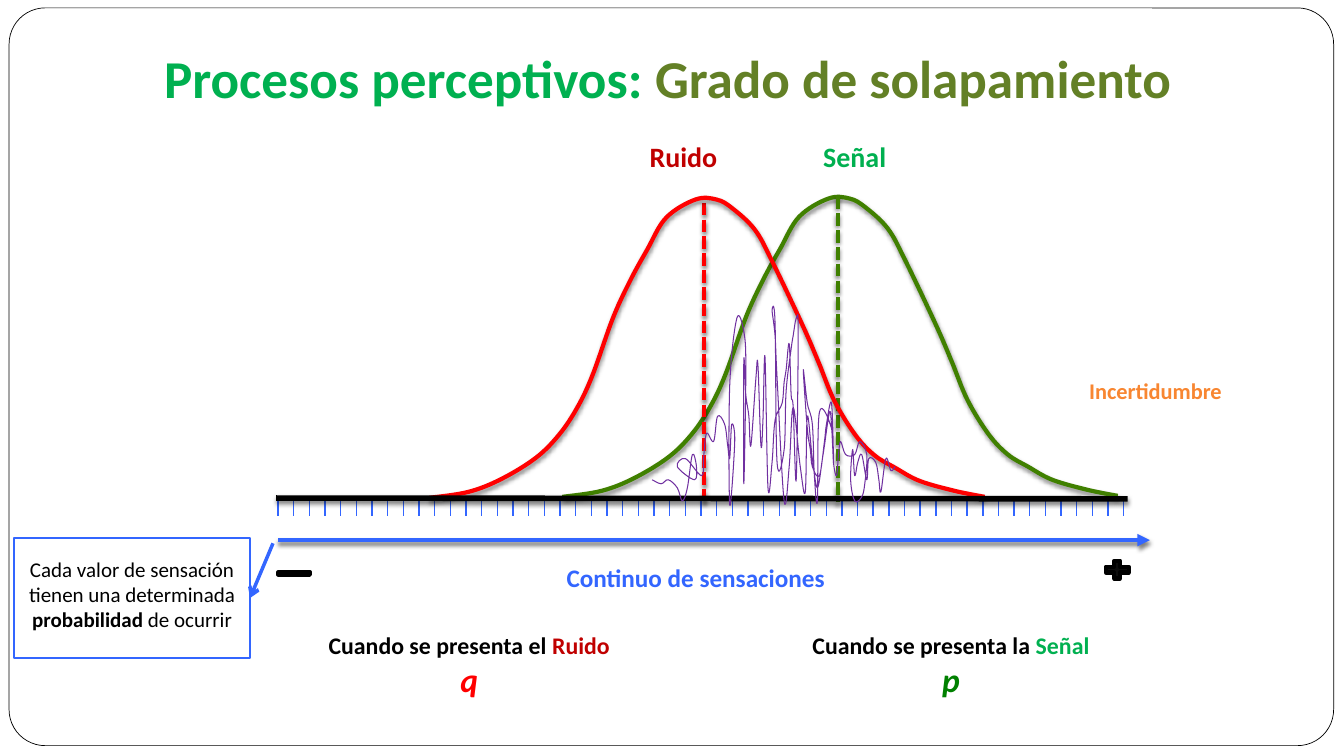
from lxml.etree import SubElement
from pptx import Presentation
from pptx.dml.color import RGBColor
from pptx.enum.dml import MSO_LINE_DASH_STYLE as Dash
from pptx.enum.shapes import MSO_CONNECTOR, MSO_SHAPE as Preset
from pptx.enum.text import MSO_ANCHOR as Anchor, MSO_AUTO_SIZE as AutoSize, PP_ALIGN as Align
from pptx.oxml.ns import qn
from pptx.util import Cm, Pt

COLORS = {
    "black": "000000", "ink": "0D0D0D", "white": "FFFFFF", "blue": "3366FF",
    "red": "FF0000", "noise": "C00000", "curve": "408000", "signal": "00B050",
    "p": "008000", "olive": "638026", "orange": "F88631", "purple": "7030A0",
}
FONT = "Calibri"
POINT_UNIT = 0.0254  # centimetres per unit of the curve points below

BELL = [
    (558, 493), (597, 487), (630, 474), (664, 453), (687, 430), (705, 403), (720, 371),
    (740, 315), (757, 278), (774, 247), (793, 215), (822, 197), (843, 197), (859, 206),
    (881, 227), (898, 258), (928, 321), (944, 358), (960, 397), (981, 431), (1000, 451),
    (1020, 463), (1044, 476), (1079, 486), (1109, 492),
]
NOISE_SHIFT = (-132, 1)
SCRIBBLE = [
    (647, 476), (656, 480), (663, 476), (672, 484), (677, 497), (682, 484), (687, 451),
    (691, 463), (689, 476), (672, 463), (680, 455), (696, 472), (698, 455), (701, 430),
    (708, 438), (712, 413), (719, 421), (722, 442), (724, 455), (726, 421), (729, 438),
    (724, 501), (724, 383), (731, 316), (738, 329), (740, 367), (738, 480), (738, 358),
    (740, 392), (743, 413), (745, 442), (750, 375), (752, 362), (755, 442), (757, 417),
    (759, 354), (762, 484), (766, 459), (769, 417), (776, 400), (778, 379), (780, 367),
    (783, 341), (785, 392), (787, 404), (790, 476), (792, 329), (790, 316), (787, 333),
    (785, 346), (780, 388), (778, 446), (771, 459), (769, 320), (766, 308), (769, 333),
    (771, 375), (778, 497), (783, 463), (787, 404), (794, 463), (799, 488), (801, 413),
    (806, 455), (811, 484), (816, 455), (818, 442), (823, 409), (825, 421), (827, 459),
    (825, 400), (820, 421), (818, 438), (813, 472), (806, 463), (804, 446), (801, 425),
    (797, 367), (801, 400), (806, 421), (808, 472), (811, 497), (813, 409), (825, 425),
    (827, 459), (830, 472), (832, 451), (834, 438), (839, 451), (848, 451), (853, 438),
    (860, 451), (858, 480), (855, 493), (848, 497), (844, 476), (846, 446), (848, 472),
    (851, 459), (855, 451), (860, 476), (862, 455), (869, 459), (872, 476), (874, 488),
    (879, 455), (884, 467), (888, 463),
]


def rgb(name):
    return RGBColor.from_string(COLORS[name])


def set_line(shape, color, width):
    shape.line.color.rgb = rgb(color)
    shape.line.width = Pt(width)


def set_effect(shape, shadow):
    """Replace the theme's shadow with a soft one below, or with none."""
    effects = SubElement(shape._element.spPr, qn("a:effectLst"))
    if shadow:
        outer = SubElement(effects, qn("a:outerShdw"), blurRad=str(Pt(3)),
                           dist=str(Pt(2)), dir="5400000", rotWithShape="0")
        color = SubElement(outer, qn("a:srgbClr"), val=COLORS["black"])
        SubElement(color, qn("a:alpha"), val="50000")


def write(frame, paragraphs, align=Align.CENTER):
    """Fill a frame; each span is (text, size, colour, style letters b and i)."""
    for index, spans in enumerate(paragraphs):
        para = frame.add_paragraph() if index else frame.paragraphs[0]
        para.alignment = align
        for text, size, color, style in spans:
            span = para.add_run()
            span.text = text
            span.font.name = FONT
            span.font.size = Pt(size)
            span.font.color.rgb = rgb(color)
            span.font.bold = "b" in style
            span.font.italic = "i" in style


def add_text(page, place, paragraphs, align=Align.CENTER):
    box = page.shapes.add_textbox(*map(Cm, place))
    frame = box.text_frame
    frame.word_wrap = True
    frame.auto_size = AutoSize.SHAPE_TO_FIT_TEXT
    write(frame, paragraphs, align)
    return frame


def add_preset(page, kind, place, fill=None, line=None, width=1):
    shape = page.shapes.add_shape(kind, *map(Cm, place))
    if fill:
        shape.fill.solid()
        shape.fill.fore_color.rgb = rgb(fill)
    else:
        shape.fill.background()
    if line:
        set_line(shape, line, width)
    else:
        shape.line.fill.background()
    set_effect(shape, False)
    return shape


def add_line(page, ends, color, width, dash=None, tail=None, shadow=False):
    line = page.shapes.add_connector(MSO_CONNECTOR.STRAIGHT, *map(Cm, ends))
    set_line(line, color, width)
    if dash:
        line.line.dash_style = dash
    if tail:
        SubElement(line.line._get_or_add_ln(), qn("a:tailEnd"), type=tail)
    set_effect(line, shadow)
    return line


def add_curve(page, points, color, width, shift=(0, 0), shadow=False):
    """Draw a smooth open curve through all the points."""
    start, *rest = [(Cm((x + shift[0]) * POINT_UNIT), Cm((y + shift[1]) * POINT_UNIT))
                    for x, y in points]
    builder = page.shapes.build_freeform(*start)
    builder.add_line_segments(rest, close=False)
    curve = builder.convert_to_shape()
    curve.fill.background()
    set_line(curve, color, width)
    set_effect(curve, shadow)

    outline = next(curve._element.iter(qn("a:path")))
    knots = [(int(pt.get("x")), int(pt.get("y"))) for pt in outline.iter(qn("a:pt"))]
    padded = [knots[0], *knots, knots[-1]]
    for segment, before, first, last, after in zip(
            outline.findall(qn("a:lnTo")), padded, padded[1:], padded[2:], padded[3:]):
        leave = [a + (c - b) / 6 for a, b, c in zip(first, before, last)]
        arrive = [a - (c - b) / 6 for a, b, c in zip(last, first, after)]
        bezier = SubElement(outline, qn("a:cubicBezTo"))
        for x, y in (leave, arrive, last):
            SubElement(bezier, qn("a:pt"), x=str(round(x)), y=str(round(y)))
        outline.replace(segment, bezier)


def add_frame(page):
    """Put the rounded border on the layout, behind all else."""
    border = add_preset(page, Preset.ROUNDED_RECTANGLE, (0.23, 0.2, 33.38, 18.59),
                        "white", "black", 0.5)
    border.adjustments[0] = 0.049
    page.slide_layout.shapes._spTree.insert(2, border._element)


def add_title(page):
    title = page.shapes.title
    title.left, title.top, title.width, title.height = map(Cm, (0.74, 1.02, 32.18, 1.88))
    write(title.text_frame, [[("Procesos perceptivos: ", 38, "signal", "b"),
                              ("Grado de solapamiento", 38, "olive", "b")]])
    title.text_frame.vertical_anchor = Anchor.TOP


def add_label(page, place, text, color):
    label = add_preset(page, Preset.RECTANGLE, place, "white")
    label.text_frame.vertical_anchor = Anchor.TOP
    write(label.text_frame, [[(text, 20, color, "b")]])


def add_case(page, place, lead, name, name_color, symbol, symbol_color):
    frame = add_text(page, place, [
        [(lead, 17, "black", "b"), (name, 17, name_color, "b")],
        [(symbol, 24, symbol_color, "bi")]])
    frame.vertical_anchor = Anchor.MIDDLE
    frame.margin_left = frame.margin_right = Cm(0.1)
    frame.margin_top = frame.margin_bottom = Cm(0.13)


def add_scale(page):
    add_line(page, (7.01, 13.61, 28.98, 13.61), "blue", 3, tail="triangle", shadow=True)
    add_text(page, (12.47, 14.05, 10.13, 1.02),
             [[("Continuo de sensaciones", 18, "blue", "b")]])
    add_preset(page, Preset.MATH_MINUS, (6.88, 14.3, 1.07, 0.3), "ink", "black", 3)
    add_preset(page, Preset.MATH_PLUS, (27.76, 14.05, 0.79, 0.61), "ink", "black", 3)
    first, last, count = 7.01, 28.32, 55
    for index in range(count):
        x = first + index * (last - first) / (count - 1)
        add_line(page, (x, 12.6, x, 13), "blue", 1)


def add_distributions(page):
    add_curve(page, BELL, "curve", 3, shadow=True)
    add_line(page, (21.11, 4.95, 21.11, 12.65), "curve", 3, Dash.SQUARE_DOT, shadow=True)
    add_line(page, (17.75, 5.11, 17.75, 12.7), "red", 3, Dash.SQUARE_DOT, shadow=True)
    add_curve(page, BELL, "red", 3, NOISE_SHIFT, shadow=True)
    add_line(page, (6.96, 12.55, 28.42, 12.57), "black", 4, shadow=True)
    add_curve(page, SCRIBBLE, "purple", 0.75)


def add_explanation(page):
    add_text(page, (0.36, 13.89, 5.94, 2.18), [[
        ("Cada valor de sensación tienen una determinada ", 15, "black", ""),
        ("probabilidad", 15, "black", "b"), (" de ocurrir", 15, "black", "")]])
    box = add_preset(page, Preset.RECTANGLE, (0.36, 13.56, 5.94, 3.02), line="blue", width=1.5)
    pointer = add_line(page, (6.88, 13.69, 6.3, 15.07), "blue", 2.5, tail="arrow")
    pointer.end_connect(box, 3)


def main():
    deck = Presentation()
    deck.slide_width, deck.slide_height = Cm(33.87), Cm(19.05)
    page = deck.slides.add_slide(deck.slide_layouts[5])
    add_frame(page)
    add_title(page)
    add_scale(page)
    add_distributions(page)
    add_explanation(page)
    add_case(page, (5.87, 15.72, 11.91, 2.06), "Cuando se presenta el ", "Ruido", "noise", "q", "red")
    add_case(page, (18.06, 15.75, 11.81, 2.01), "Cuando se presenta la ", "Señal", "signal", "p", "p")
    add_label(page, (18.24, 3.4, 6.6, 1.12), "Señal", "signal")
    add_label(page, (15.42, 3.4, 3.61, 1.12), "Ruido", "noise")
    add_text(page, (27.2, 9.37, 3.91, 0.94), [[("Incertidumbre", 16, "orange", "b")]], Align.LEFT)
    deck.save("out.pptx")


if __name__ == "__main__":
    main()
